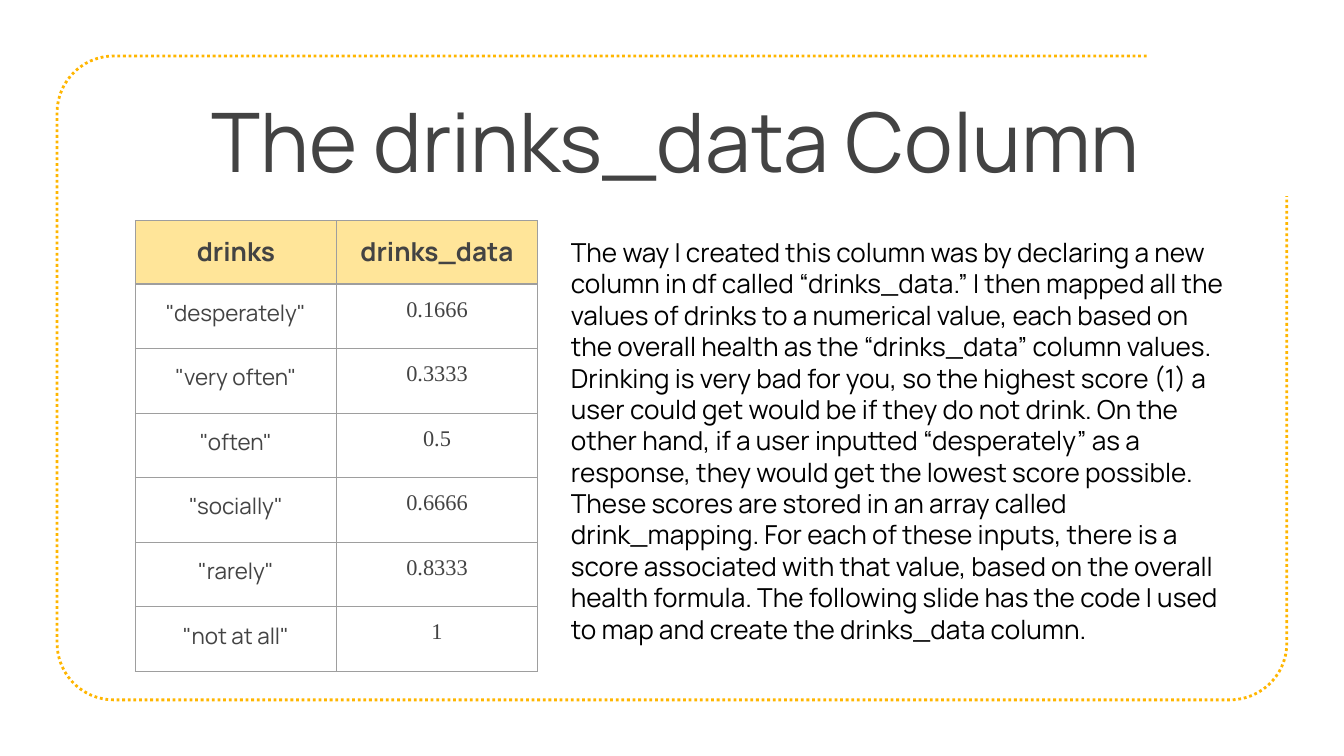
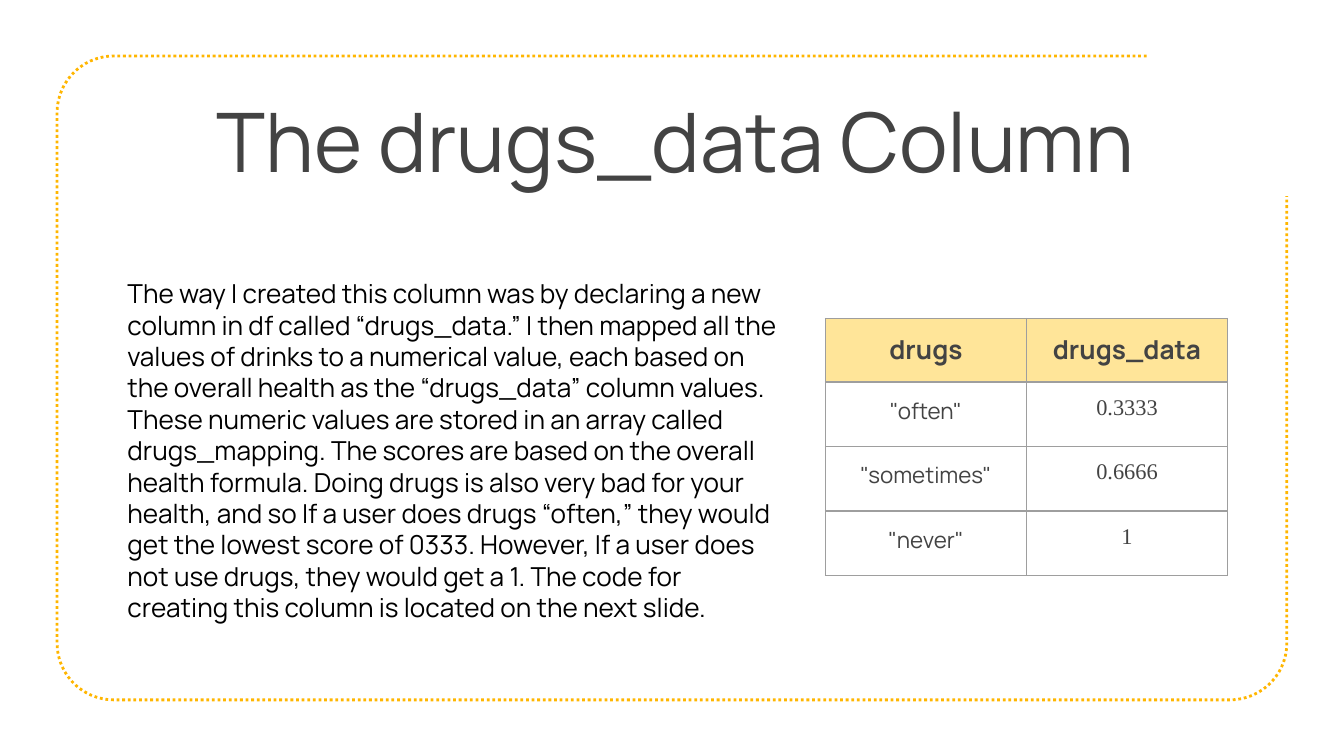
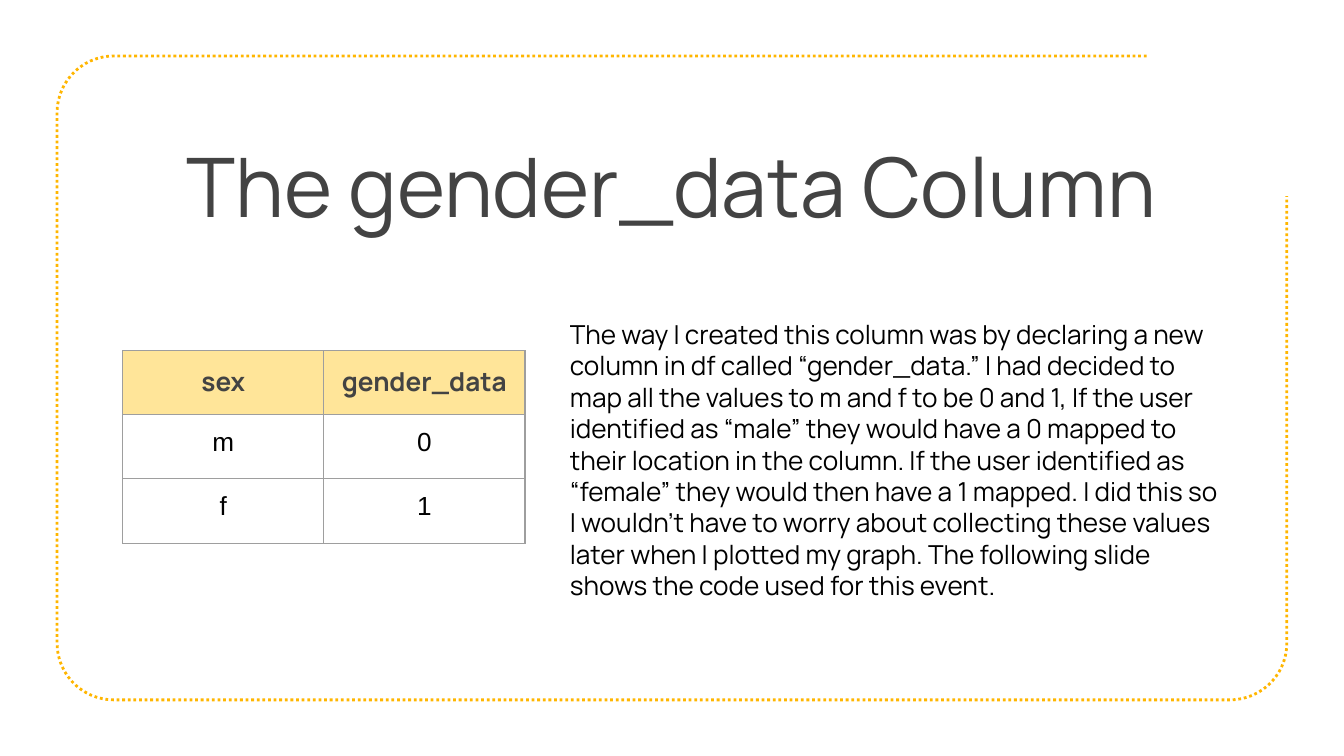
from dataclasses import dataclass
from math import cos, radians, sin

from lxml import etree
from pptx import Presentation
from pptx.dml.color import RGBColor
from pptx.enum.dml import MSO_LINE
from pptx.enum.text import MSO_ANCHOR, PP_ALIGN
from pptx.oxml.ns import qn
from pptx.util import Cm, Pt

CENTER, LEFT = PP_ALIGN.CENTER, PP_ALIGN.LEFT
MIDDLE, TOP = MSO_ANCHOR.MIDDLE, MSO_ANCHOR.TOP
DOTTED = MSO_LINE.ROUND_DOT


@dataclass(frozen=True)
class TextStyle:
    font: str
    size: int
    color: str
    bold: bool = False


class Theme:
    frame = "FFB600"
    header_fill = "FFE599"
    grid = "9E9E9E"
    frame_width = 1.5
    grid_width = 0.75
    inset = Cm(0.25)
    title = TextStyle("Manrope", 44, "434343")
    body = TextStyle("Manrope", 14, "000000")
    header = TextStyle("Manrope", 14, "434343", True)
    answer = TextStyle("Manrope", 12, "434343")
    score = TextStyle("Times New Roman", 12, "434343")
    code = TextStyle("Arial", 14, "000000")


# Sizes in centimetres
SLIDE_SIZE = (25.4, 14.29)
FRAME_BOX = (1.08, 1.06, 23.24, 12.17)
TITLE_SIZE = (22.86, 2.39)
BODY_WIDTH = 12.9
COLUMN_WIDTH = 3.8
HEADER_HEIGHT, ROW_HEIGHT = 1.2, 1.22


def write(holder, paragraphs, style, align, anchor):
    """Fill a text box or table cell with evenly styled paragraphs."""
    holder.margin_left = holder.margin_right = Theme.inset
    holder.margin_top = holder.margin_bottom = Theme.inset
    holder.vertical_anchor = anchor
    frame = getattr(holder, "text_frame", holder)
    frame.word_wrap = True
    frame.text = "\n".join(paragraphs)
    for paragraph in frame.paragraphs:
        paragraph.alignment = align
        for run in paragraph.runs:
            run.font.name = style.font
            run.font.size = Pt(style.size)
            run.font.bold = style.bold
            run.font.color.rgb = RGBColor.from_string(style.color)


def add_text(slide, box, paragraphs, style, align=LEFT, anchor=TOP):
    textbox = slide.shapes.add_textbox(*map(Cm, box))
    write(textbox.text_frame, paragraphs, style, align, anchor)


def add_frame(slide, box, radius=1.07, top_gap=2.65, right_gap=2.65):
    """Dotted rounded outline, open at its top right corner."""
    left, top, width, height = box
    right, bottom = left + width, top + height
    # Corner centres with the angle at which each arc starts
    corners = [
        (left + radius, top + radius, 270),
        (left + radius, bottom - radius, 180),
        (right - radius, bottom - radius, 90),
    ]
    points = [
        (x + radius * cos(radians(start - turn)), y + radius * sin(radians(start - turn)))
        for x, y, start in corners
        for turn in range(0, 91, 6)
    ]
    points.append((right, top + right_gap))

    outline = slide.shapes.build_freeform(Cm(right - top_gap), Cm(top))
    outline.add_line_segments([(Cm(x), Cm(y)) for x, y in points], close=False)
    border = outline.convert_to_shape()
    border.shadow.inherit = False
    border.fill.background()
    border.line.color.rgb = RGBColor.from_string(Theme.frame)
    border.line.width = Pt(Theme.frame_width)
    border.line.dash_style = DOTTED


def add_cell_borders(cell):
    properties = cell._tc.get_or_add_tcPr()
    for index, side in enumerate(("a:lnL", "a:lnR", "a:lnT", "a:lnB")):
        line = etree.Element(qn(side), w=str(Pt(Theme.grid_width)))
        fill = etree.SubElement(line, qn("a:solidFill"))
        etree.SubElement(fill, qn("a:srgbClr"), val=Theme.grid)
        properties.insert(index, line)


def add_mapping_table(slide, origin, header, mapping, styles):
    """Two columns: each answer and the number it maps to."""
    rows = [header, *mapping]
    left, top = origin
    height = HEADER_HEIGHT + ROW_HEIGHT * len(mapping)
    table = slide.shapes.add_table(
        len(rows), 2, Cm(left), Cm(top), Cm(2 * COLUMN_WIDTH), Cm(height)
    ).table
    table.first_row = table.horz_banding = False
    for column in table.columns:
        column.width = Cm(COLUMN_WIDTH)
    for r, values in enumerate(rows):
        table.rows[r].height = Cm(ROW_HEIGHT if r else HEADER_HEIGHT)
        for c, value in enumerate(values):
            cell = table.cell(r, c)
            write(cell, [value], styles[c] if r else Theme.header, CENTER, TOP)
            if r:
                cell.fill.background()
            else:
                cell.fill.solid()
                cell.fill.fore_color.rgb = RGBColor.from_string(Theme.header_fill)
            add_cell_borders(cell)


def add_column_slide(deck, title, title_at, header, mapping, table_at,
                     paragraphs, body_at, body_height,
                     styles=(Theme.answer, Theme.score)):
    slide = deck.slides.add_slide(deck.slide_layouts[6])
    add_frame(slide, FRAME_BOX)
    add_text(slide, (*title_at, *TITLE_SIZE), [title], Theme.title, CENTER, MIDDLE)
    add_mapping_table(slide, table_at, header, mapping, styles)
    add_text(slide, (*body_at, BODY_WIDTH, body_height), paragraphs, Theme.body)


def main():
    deck = Presentation()
    deck.slide_width, deck.slide_height = map(Cm, SLIDE_SIZE)

    # Drinks
    add_column_slide(
        deck, "The drinks_data Column", (1.35, 1.45),
        ("drinks", "drinks_data"),
        [('"desperately"', "0.1666"), ('"very often"', "0.3333"),
         ('"often"', "0.5"), ('"socially"', "0.6666"),
         ('"rarely"', "0.8333"), ('"not at all"', "1")],
        (2.56, 4.17),
        ["The way I created this column was by declaring a new column in df "
         "called “drinks_data.” I then mapped all the values of drinks to a "
         "numerical value, each based on the overall health as the "
         "“drinks_data” column values.",
         "Drinking is very bad for you, so the highest score (1) a user could "
         "get would be if they do not drink. On the other hand, if a user "
         "inputted “desperately” as a response, they would get the lowest "
         "score possible. These scores are stored in an array called "
         "drink_mapping. For each of these inputs, there is a score "
         "associated with that value, based on the overall health formula. "
         "The following slide has the code I used to map and create the "
         "drinks_data column."],
        (10.54, 4.22), 8.46,
    )

    # Drugs
    add_column_slide(
        deck, "The drugs_data Column", (1.35, 1.45),
        ("drugs", "drugs_data"),
        [('"often"', "0.3333"), ('"sometimes"', "0.6666"), ('"never"', "1")],
        (15.6, 6.02),
        ["The way I created this column was by declaring a new column in df "
         "called “drugs_data.” I then mapped all the values of drinks to a "
         "numerical value, each based on the overall health as the "
         "“drugs_data” column values.",
         "These numeric values are stored in an array called drugs_mapping. "
         "The scores are based on the overall health formula. Doing drugs is "
         "also very bad for your health, and so If a user does drugs “often,” "
         "they would get the lowest score of 0333. However, If a user does "
         "not use drugs, they would get a 1. The code for creating this "
         "column is located on the next slide."],
        (2.16, 5.0), 6.88,
    )

    # Gender
    add_column_slide(
        deck, "The gender_data Column", (1.27, 2.29),
        ("sex", "gender_data"),
        [("m", "0"), ("f", "1")],
        (2.32, 6.63),
        ["The way I created this column was by declaring a new column in df "
         "called “gender_data.” I had decided to map all the values to m and "
         "f to be 0 and 1, If the user identified as “male” they would have a "
         "0 mapped to their location in the column. If the user identified as "
         "“female” they would then have a 1 mapped. I did this so I wouldn’t "
         "have to worry about collecting these values later when I plotted my "
         "graph. The following slide shows the code used for this event."],
        (10.52, 5.77), 5.36,
        styles=(Theme.code, Theme.code),
    )

    deck.save("out.pptx")


if __name__ == "__main__":
    main()
